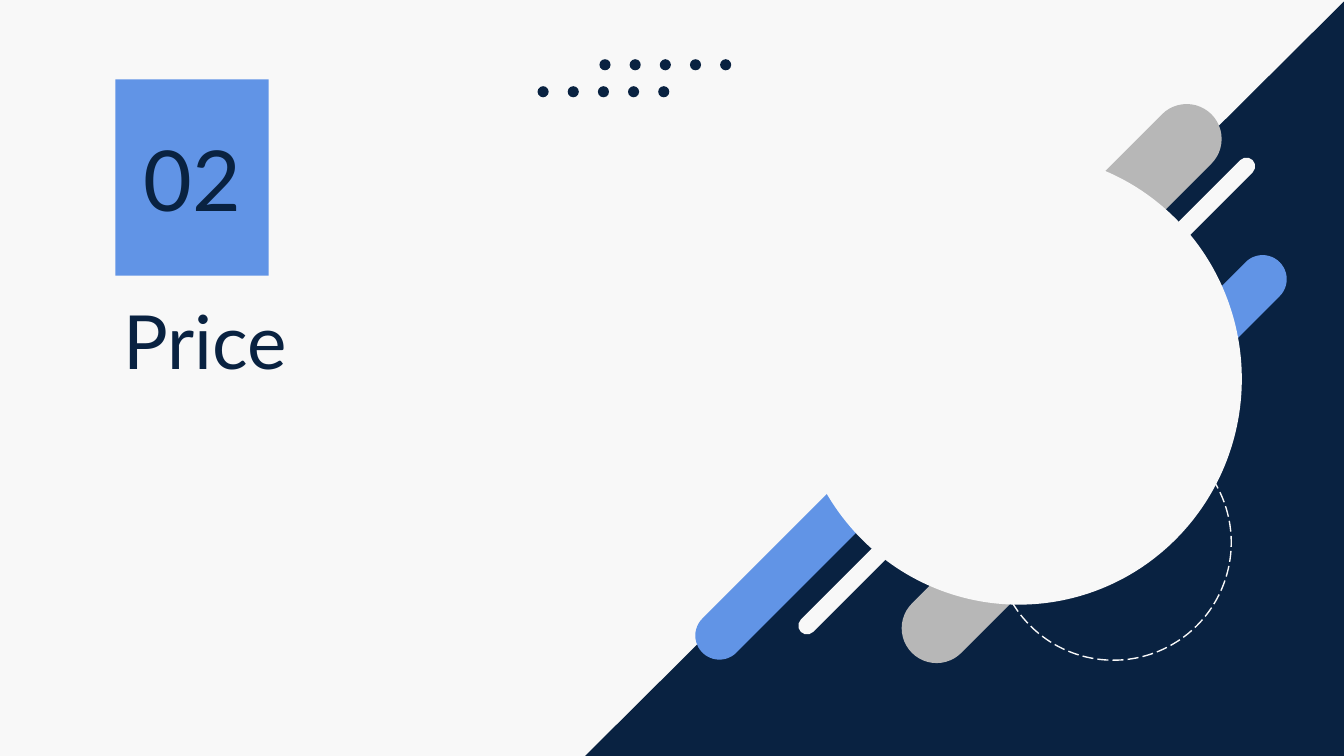
"""Build the section slide "02 Price" with its diagonal decoration."""

from dataclasses import dataclass

import pptx
import pptx.dml.color
import pptx.enum.dml
import pptx.enum.shapes
import pptx.enum.text
import pptx.util

Cm = pptx.util.Cm
RGBColor = pptx.dml.color.RGBColor
Shapes = pptx.enum.shapes.MSO_SHAPE
Anchor = pptx.enum.text.MSO_ANCHOR
Align = pptx.enum.text.PP_ALIGN

NAVY = RGBColor(0x09, 0x22, 0x41)
BLUE = RGBColor(0x61, 0x94, 0xE6)
GRAY = RGBColor(0xB7, 0xB7, 0xB7)
PAPER = RGBColor(0xF8, 0xF8, 0xF8)

DOT_SIZE = 0.21
DOT_PITCH = 0.57
DOTS_PER_ROW = 5


@dataclass(frozen=True)
class Area:
    left: float
    top: float
    width: float
    height: float

    def lengths(self) -> tuple:
        return Cm(self.left), Cm(self.top), Cm(self.width), Cm(self.height)


@dataclass(frozen=True)
class Pill:
    area: Area
    color: RGBColor


DOT_ROWS = ((11.33, 1.12), (10.16, 1.63))
WIDE_PILLS = (
    Pill(Area(12.55, 10.13, 4.95, 0.91), BLUE),
    Pill(Area(19.96, 6.25, 4.95, 0.91), BLUE),
    Pill(Area(18.67, 3.25, 4.95, 1.32), GRAY),
    Pill(Area(16.51, 9.93, 4.95, 1.32), GRAY),
)
THIN_PILLS = (
    Pill(Area(21.31, 3.84, 2.77, 0.33), PAPER),
    Pill(Area(14.73, 10.8, 2.77, 0.33), PAPER),
)


def add_figure(slide, kind, area: Area, color: RGBColor | None = None):
    figure = slide.shapes.add_shape(kind, *area.lengths())
    figure.shadow.inherit = False
    figure.line.fill.background()
    if color is None:
        figure.fill.background()
    else:
        figure.fill.solid()
        figure.fill.fore_color.rgb = color
    return figure


def add_dots(slide) -> None:
    for left, top in DOT_ROWS:
        for column in range(DOTS_PER_ROW):
            area = Area(left + column * DOT_PITCH, top, DOT_SIZE, DOT_SIZE)
            add_figure(slide, Shapes.OVAL, area, NAVY)


def add_corner(slide) -> None:
    corner = add_figure(slide, Shapes.RIGHT_TRIANGLE, Area(11.05, 0.03, 14.35, 14.27), NAVY)
    corner.element.spPr.get_or_add_xfrm().set("flipH", "1")


def add_pill(slide, pill: Pill) -> None:
    figure = add_figure(slide, Shapes.ROUNDED_RECTANGLE, pill.area, pill.color)
    figure.adjustments[0] = 0.5
    figure.rotation = 315


def add_dashed_ring(slide) -> None:
    ring = add_figure(slide, Shapes.OVAL, Area(18.82, 8.03, 4.45, 4.45))
    ring.line.color.rgb = PAPER
    ring.line.width = pptx.util.Pt(0.75)
    ring.line.dash_style = pptx.enum.dml.MSO_LINE.LONG_DASH


def write_text(box, text: str, *, area: Area, size: float, align, anchor) -> None:
    box.left, box.top, box.width, box.height = area.lengths()
    frame = box.text_frame
    frame.word_wrap = True
    frame.auto_size = pptx.enum.text.MSO_AUTO_SIZE.NONE
    frame.vertical_anchor = anchor
    frame.margin_left = frame.margin_right = Cm(0.25)
    frame.margin_top = frame.margin_bottom = Cm(0.25)
    para = frame.paragraphs[0]
    para.alignment = align
    para.space_before = pptx.util.Pt(0)
    span = para.add_run()
    span.text = text
    span.font.name = "Lato"
    span.font.size = pptx.util.Pt(size)
    span.font.color.rgb = NAVY


def main() -> None:
    deck = pptx.Presentation()
    deck.slide_width, deck.slide_height = Cm(25.4), Cm(14.29)
    slide = deck.slides.add_slide(deck.slide_layouts[0])
    slide.background.fill.solid()
    slide.background.fill.fore_color.rgb = PAPER

    title, number = slide.placeholders
    write_text(title, "Price", area=Area(2.08, 5.72, 10.92, 1.8), size=40,
               align=Align.LEFT, anchor=Anchor.BOTTOM)
    write_text(number, "02", area=Area(2.18, 1.5, 2.9, 3.71), size=45,
               align=Align.CENTER, anchor=Anchor.MIDDLE)
    number.fill.solid()
    number.fill.fore_color.rgb = BLUE

    add_dots(slide)
    add_corner(slide)
    for pill in WIDE_PILLS:
        add_pill(slide, pill)
    add_dashed_ring(slide)
    for pill in THIN_PILLS:
        add_pill(slide, pill)
    add_figure(slide, Shapes.OVAL, Area(15.04, 2.9, 8.43, 8.53), PAPER)
    deck.save("out.pptx")


if __name__ == "__main__":
    main()
